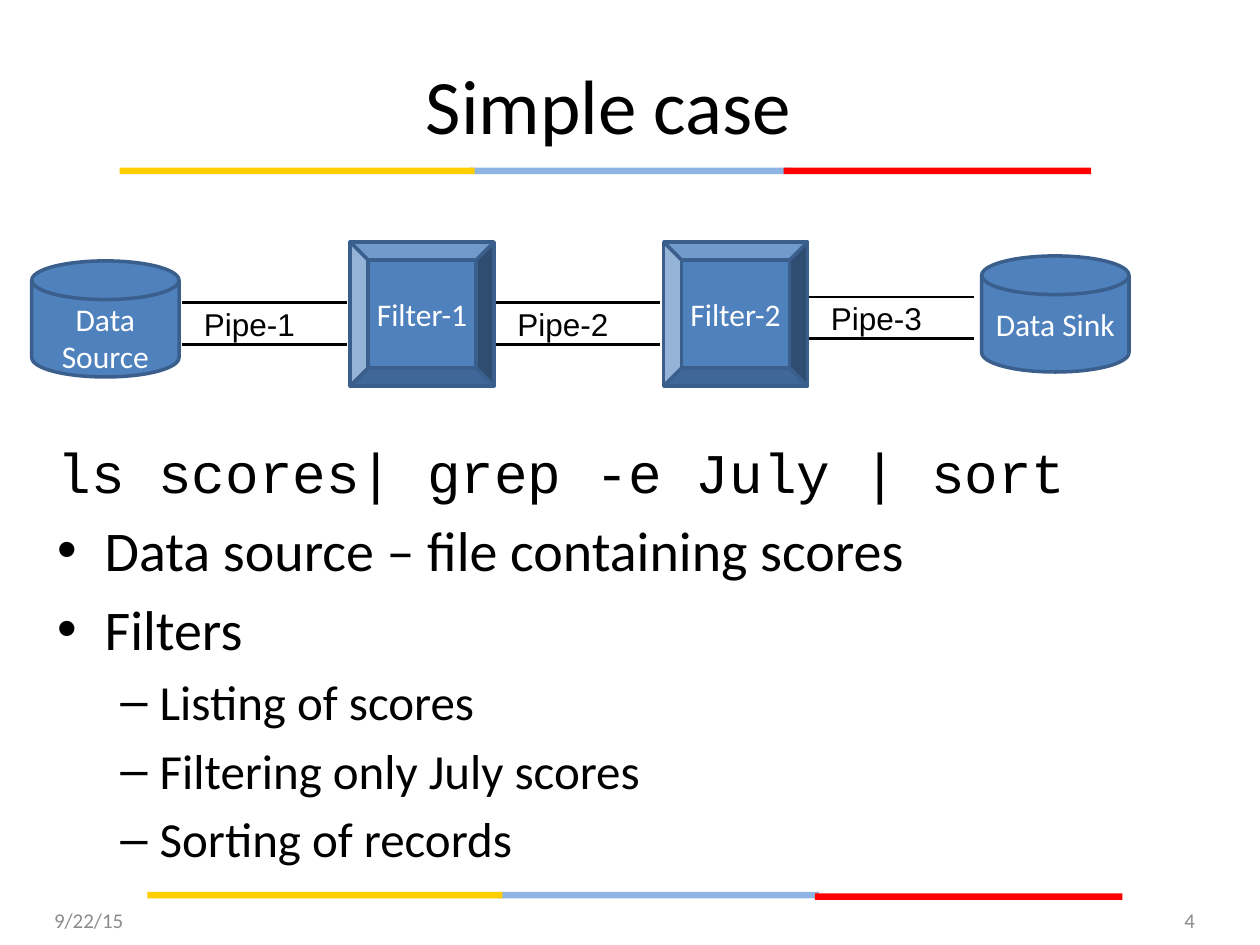
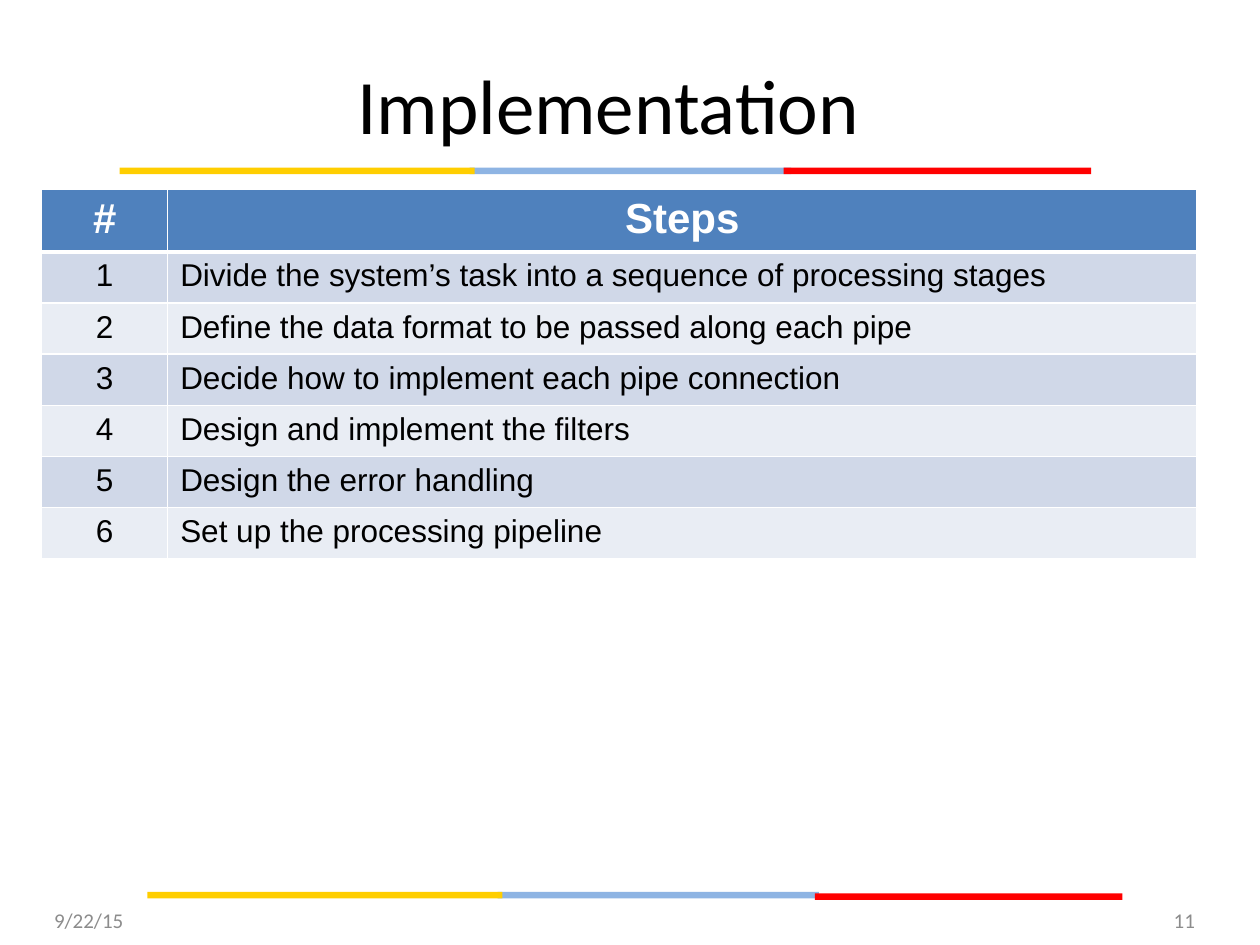
from lxml.etree import SubElement
from pptx import Presentation
from pptx.dml.color import RGBColor
from pptx.enum.shapes import MSO_CONNECTOR as Connector, MSO_SHAPE as Shape
from pptx.enum.text import MSO_ANCHOR as Anchor, PP_ALIGN as Align
from pptx.oxml.ns import qn
from pptx.util import Cm, Pt

BLACK, WHITE, GREY = "000000", "FFFFFF", "8C8C8C"
BLUE, DARK_BLUE = "4F81BD", "3A5F8C"
GOLD, SKY, RED = "FFCE00", "8EB4E3", "FF0000"
BANDING = ("D0D8E8", "E9EDF4")
HEADING_FONT, LABEL_FONT, CODE_FONT = "Calibri", "Arial", "Courier New"
PIPE_STEP, PIPE_LENGTH, PIPE_GAP = 6.32, 3.33, 0.84

COMMAND = "ls scores| grep -e July | sort"
POINTS = [
    (0, "Data source – file containing scores"),
    (0, "Filters"),
    (1, "Listing of scores"),
    (1, "Filtering only July scores"),
    (1, "Sorting of records"),
]
LEVELS = [("•", 0.95, 0.95, 32), ("–", 2.06, 0.79, 28)]
STEPS = [
    "Divide the system’s task into a sequence of processing stages",
    "Define the data format to be passed along each pipe",
    "Decide how to implement each pipe connection",
    "Design and implement the filters",
    "Design the error handling",
    "Set up the processing pipeline",
]


def paint(color_format, color):
    """Apply a hex colour to a fill or line fill."""
    color_format.solid()
    color_format.fore_color.rgb = RGBColor.from_string(color)


def write(paragraph, text, size, font=HEADING_FONT, color=BLACK, align=Align.LEFT, bold=False):
    """Add one formatted run to a paragraph."""
    paragraph.alignment = align
    run = paragraph.add_run()
    run.text = text
    run.font.size = Pt(size)
    run.font.name = font
    run.font.bold = bold
    paint(run.font.fill, color)


def add_frame(slide, left, top, width, height, anchor=Anchor.TOP, wrap=True):
    """Add a text box and return its text frame."""
    frame = slide.shapes.add_textbox(Cm(left), Cm(top), Cm(width), Cm(height)).text_frame
    frame.word_wrap = wrap
    frame.vertical_anchor = anchor
    return frame


def add_solid(slide, kind, left, top, width, height, color, outline=None):
    """Add a filled preset shape without shadow."""
    solid = slide.shapes.add_shape(kind, Cm(left), Cm(top), Cm(width), Cm(height))
    solid.shadow.inherit = False
    paint(solid.fill, color)
    if outline:
        paint(solid.line.fill, outline)
        solid.line.width = Pt(2)
    else:
        solid.line.fill.background()
    return solid


def add_stripe(slide, left, top, red_offset, red_drop=0):
    """Draw one three-colour stripe."""
    for offset, drop, width, color in (
        (7.06, 0, 6.48, SKY),
        (red_offset, red_drop, 6.2, RED),
        (0, 0, 7.16, GOLD),
    ):
        add_solid(slide, Shape.RECTANGLE, left + offset, top + drop, width, 0.13, color)


def add_base_slide(deck, title, number):
    """Add a slide with its title, stripes, date and number."""
    slide = deck.slides.add_slide(deck.slide_layouts[6])
    add_stripe(slide, 2.41, 3.38, 13.39)
    add_stripe(slide, 2.97, 17.98, 13.46, 0.03)
    heading = add_frame(slide, 0.84, 0.79, 22.86, 2.62, Anchor.MIDDLE)
    write(heading.paragraphs[0], title, 44, align=Align.CENTER)
    for left, text, align in ((0.84, "9/22/15", Align.LEFT), (18.42, number, Align.RIGHT)):
        footer = add_frame(slide, left, 18.03, 5.92, 1.02, Anchor.MIDDLE)
        write(footer.paragraphs[0], text, 12, color=GREY, align=align)
    return slide


def add_node(slide, kind, text, left, top, width, height, anchor=Anchor.MIDDLE):
    """Add a labelled stage of the pipeline."""
    node = add_solid(slide, kind, left, top, width, height, BLUE, DARK_BLUE)
    frame = node.text_frame
    frame.margin_left = frame.margin_right = frame.margin_top = frame.margin_bottom = 0
    frame.word_wrap = True
    frame.vertical_anchor = anchor
    write(frame.paragraphs[0], text, 18, color=WHITE, align=Align.CENTER)


def add_pipe(slide, text, left, top):
    """Draw a pipe as two parallel lines with a label."""
    for y in (top, top + PIPE_GAP):
        wall = slide.shapes.add_connector(
            Connector.STRAIGHT, Cm(left), Cm(y), Cm(left + PIPE_LENGTH), Cm(y)
        )
        paint(wall.line.fill, BLACK)
        wall.line.width = Pt(1.5)
        SubElement(wall._element.spPr, qn("a:effectLst"))
    label = add_frame(slide, left + 0.2, top - 0.08, 2.36, 1.02, wrap=False)
    write(label.paragraphs[0], text, 18, LABEL_FONT)


def add_point(frame, level, text):
    """Add a bulleted paragraph at the given level."""
    mark, margin, hanging, size = LEVELS[level]
    point = frame.add_paragraph()
    properties = point._p.get_or_add_pPr()
    properties.set("marL", str(Cm(margin)))
    properties.set("indent", str(-Cm(hanging)))
    SubElement(properties, qn("a:buFont"), typeface=LABEL_FONT)
    SubElement(properties, qn("a:buChar"), char=mark)
    point.level = level
    point.space_before = Pt(size * 0.2)
    write(point, text, size)


def fill_cell(cell, text, fill, size, color, align, bold=False, bottom=1):
    """Write a table cell with white borders and a fill."""
    properties = cell._tc.get_or_add_tcPr()
    for side, width in (("L", 1), ("R", 1), ("T", 1), ("B", bottom)):
        border = SubElement(properties, qn(f"a:ln{side}"), w=str(Pt(width)))
        SubElement(SubElement(border, qn("a:solidFill")), qn("a:srgbClr"), val=WHITE)
    paint(cell.fill, fill)
    write(cell.text_frame.paragraphs[0], text, size, LABEL_FONT, color, align, bold)


def build_simple_case(deck):
    """Build the pipeline diagram and its explanation."""
    slide = add_base_slide(deck, "Simple case", "4")
    for index, top in enumerate((6.1, 6.1, 5.99)):
        add_pipe(slide, f"Pipe-{index + 1}", 3.66 + index * PIPE_STEP, top)
    for index in range(2):
        left = 7.06 + index * PIPE_STEP
        add_node(slide, Shape.BEVEL, f"Filter-{index + 1}", left, 4.88, 2.9, 2.9)
    disk = Shape.FLOWCHART_MAGNETIC_DISK
    add_node(slide, disk, "Data Source", 0.64, 5.26, 2.97, 2.34, Anchor.TOP)
    add_node(slide, disk, "Data Sink", 19.79, 5.16, 2.97, 2.34)
    body = add_frame(slide, 0.91, 8.46, 23.29, 9.22)
    body.margin_top = Cm(0.36)
    write(body.paragraphs[0], COMMAND, 32, CODE_FONT)
    for level, text in POINTS:
        add_point(body, level, text)


def build_implementation(deck):
    """Build the table of implementation steps."""
    slide = add_base_slide(deck, "Implementation", "11")
    table = slide.shapes.add_table(
        len(STEPS) + 1, 2, Cm(0.84), Cm(3.81), Cm(23.29), Cm(7.35)
    ).table
    for column, width in zip(table.columns, (2.54, 20.75)):
        column.width = Cm(width)
    for index, row in enumerate(table.rows):
        row.height = Cm(1.03 if index else 1.17)
    for column, text in enumerate(("#", "Steps")):
        fill_cell(table.cell(0, column), text, BLUE, 24, WHITE, Align.CENTER, True, 3)
    for number, step in enumerate(STEPS, 1):
        fill = BANDING[(number - 1) % 2]
        fill_cell(table.cell(number, 0), str(number), fill, 18, BLACK, Align.CENTER)
        fill_cell(table.cell(number, 1), step, fill, 18, BLACK, Align.LEFT)


def main():
    """Build and save the presentation."""
    deck = Presentation()
    deck.slide_width, deck.slide_height = Cm(25.4), Cm(19.05)
    build_simple_case(deck)
    build_implementation(deck)
    deck.save("out.pptx")


if __name__ == "__main__":
    main()
